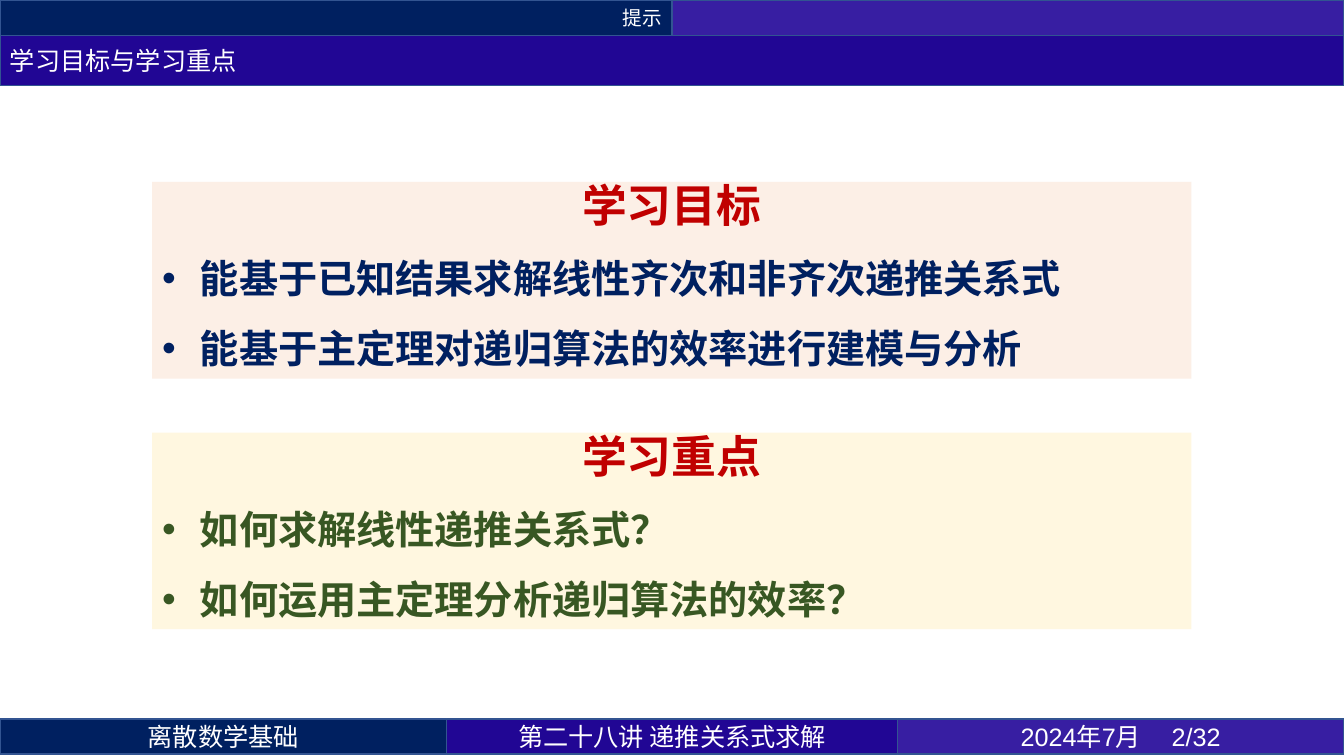
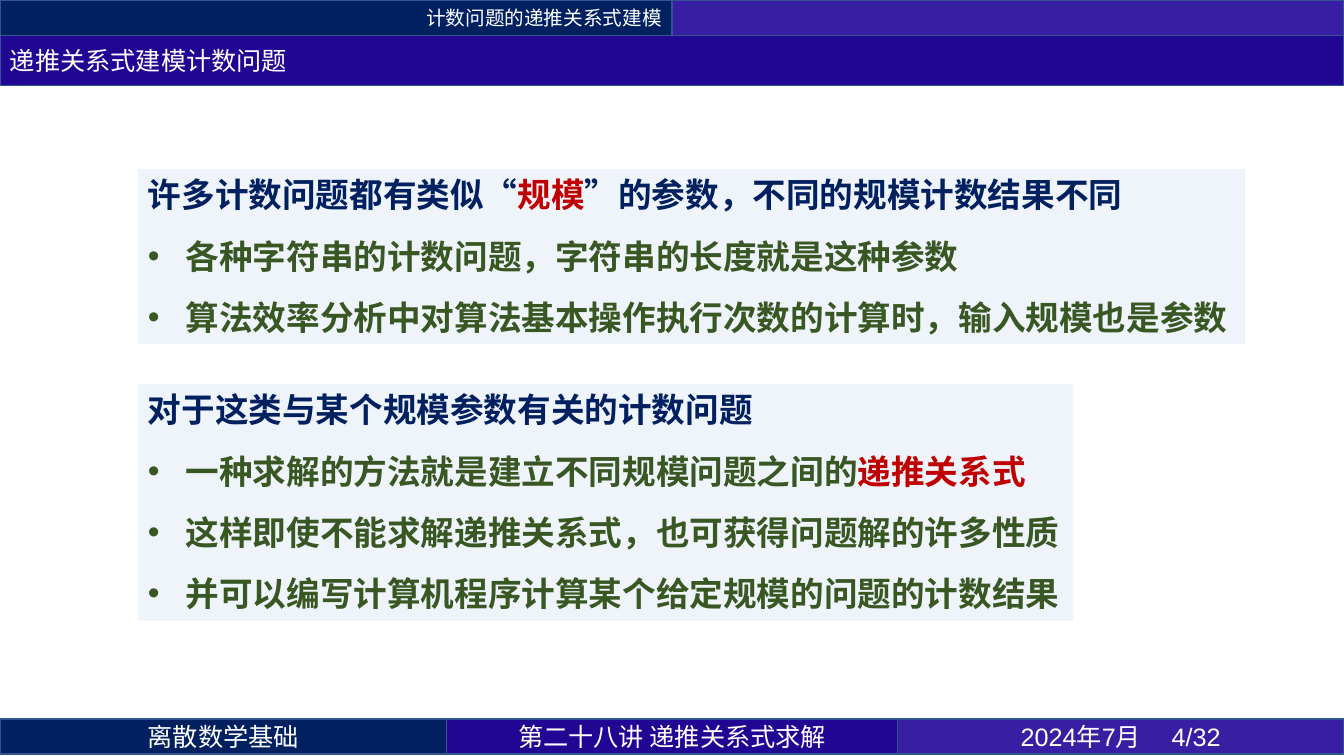
import pptx
import pptx.dml.color
import pptx.enum.lang
import pptx.enum.shapes
import pptx.enum.text
import pptx.util
from lxml import etree
from pptx.oxml.ns import qn

Pt = pptx.util.Pt
ALIGN = pptx.enum.text.PP_ALIGN
ANCHOR = pptx.enum.text.MSO_ANCHOR

SLIDE_WIDTH, SLIDE_HEIGHT = 960, 540
NAVY, INDIGO, VIOLET, BORDER = "002060", "210694", "371EA2", "325491"
WHITE, RED, GREEN = "FFFFFF", "C00000", "385723"
PEACH, CREAM, PALE_BLUE = "FBE5D6", "FFF2CC", "DEEBF7"
CHINESE_FONT, LATIN_FONT = "Noto Sans CJK SC", "Arial"

BAND_HEIGHT, TITLE_HEIGHT = 25.2, 36
FOOTER_TOP = 513.5
FOOTER_SIDE = 319
BULLET_INDENT = 27
PAGE_COUNT = 32


def rgb(color):
    return pptx.dml.color.RGBColor.from_string(color)


def add_box(slide, box, fill, line=None, opacity=100):
    """Add a rectangle; box is left, top, width, height in points."""
    shape = slide.shapes.add_shape(
        pptx.enum.shapes.MSO_SHAPE.RECTANGLE, *(Pt(length) for length in box))
    shape.shadow.inherit = False
    shape.fill.solid()
    shape.fill.fore_color.rgb = rgb(fill)
    if opacity < 100:
        color = shape.fill._xPr.find(qn("a:solidFill"))[0]
        etree.SubElement(color, qn("a:alpha"), val=str(opacity * 1000))
    if line:
        shape.line.color.rgb = rgb(line)
        shape.line.width = Pt(1)
    else:
        shape.line.fill.background()
    shape.text_frame.word_wrap = True
    return shape


def add_run(paragraph, text, size, color, font=CHINESE_FONT, bold=False):
    run = paragraph.add_run()
    run.text = text
    run.font.size = Pt(size)
    run.font.bold = bold
    run.font.color.rgb = rgb(color)
    run.font.name = font
    run.font.language_id = pptx.enum.lang.MSO_LANGUAGE_ID.SIMPLIFIED_CHINESE
    latin = run.font._element.find(qn("a:latin"))
    latin.addnext(etree.Element(qn("a:ea"), typeface=CHINESE_FONT))


def add_bullet(paragraph):
    properties = paragraph._p.get_or_add_pPr()
    properties.set("marL", str(Pt(BULLET_INDENT)))
    properties.set("indent", str(-Pt(BULLET_INDENT)))
    etree.SubElement(properties, qn("a:buFont"), typeface=LATIN_FONT)
    etree.SubElement(properties, qn("a:buChar"), char="•")


def add_band(slide, box, fill, text="", size=18, align=ALIGN.CENTER, font=CHINESE_FONT):
    shape = add_box(slide, box, fill, BORDER)
    shape.text_frame.vertical_anchor = ANCHOR.MIDDLE
    paragraph = shape.text_frame.paragraphs[0]
    paragraph.alignment = align
    if text:
        add_run(paragraph, text, size, WHITE, font)


def add_header(slide, section, title):
    half = SLIDE_WIDTH / 2
    add_band(slide, (0, 0, half, BAND_HEIGHT), NAVY, section, 14, ALIGN.RIGHT)
    add_band(slide, (half, 0, half, BAND_HEIGHT), VIOLET)
    add_band(slide, (0, BAND_HEIGHT, SLIDE_WIDTH, TITLE_HEIGHT), INDIGO, title,
             align=ALIGN.LEFT)


def add_footer(slide, page):
    middle = SLIDE_WIDTH - 2 * FOOTER_SIDE
    left = 0
    for width, fill, text, font in (
            (FOOTER_SIDE, NAVY, "离散数学基础", CHINESE_FONT),
            (middle, INDIGO, "第二十八讲 递推关系式求解", CHINESE_FONT),
            (FOOTER_SIDE, VIOLET, f"2024年7月\t{page}/{PAGE_COUNT}", LATIN_FONT)):
        add_band(slide, (left, FOOTER_TOP, width, BAND_HEIGHT), fill, text, font=font)
        left += width


def add_panel(slide, box, fill, opacity, heading, bullets, spacing):
    """Fill a tinted panel with a heading and bullets.

    heading is (runs, size, alignment), bullets is (items, size, font); each
    item is a list of (text, color) runs. spacing is line, before, after.
    """
    frame = add_box(slide, box, fill, opacity=opacity).text_frame
    frame.vertical_anchor = ANCHOR.TOP
    heading_runs, heading_size, heading_align = heading
    items, bullet_size, bullet_font = bullets
    line, before, after = spacing
    for index, runs in enumerate([heading_runs, *items]):
        paragraph = frame.add_paragraph() if index else frame.paragraphs[0]
        paragraph.alignment = ALIGN.LEFT if index else heading_align
        paragraph.line_spacing = Pt(line)
        paragraph.space_before = Pt(before if index else 0)
        paragraph.space_after = Pt(after)
        if index:
            add_bullet(paragraph)
        size, font = (bullet_size, bullet_font) if index else (heading_size, CHINESE_FONT)
        for text, color in runs:
            add_run(paragraph, text, size, color, font, bold=True)


def add_goal_panel(slide, top, fill, heading, color, bullets):
    add_panel(slide, (108.7, top, 742.3, 140.4), fill, 60,
              ([(heading, RED)], 32, ALIGN.CENTER),
              ([[(text, color)] for text in bullets], 28, LATIN_FONT),
              (32, 12, 6))


def add_topic_panel(slide, top, width, height, heading, bullets):
    add_panel(slide, (98.6, top, width, height), PALE_BLUE, 50,
              (heading, 24, ALIGN.LEFT), (bullets, 24, CHINESE_FONT),
              (28.8, 6, 9))


def add_lecture_slide(presentation, section, title, page):
    slide = presentation.slides.add_slide(presentation.slide_layouts[6])
    add_header(slide, section, title)
    add_footer(slide, page)
    return slide


def build_goals_slide(presentation):
    slide = add_lecture_slide(presentation, "提示", "学习目标与学习重点", 2)
    add_goal_panel(slide, 130, PEACH, "学习目标", NAVY,
                   ["能基于已知结果求解线性齐次和非齐次递推关系式",
                    "能基于主定理对递归算法的效率进行建模与分析"])
    add_goal_panel(slide, 309, CREAM, "学习重点", GREEN,
                   ["如何求解线性递推关系式？",
                    "如何运用主定理分析递归算法的效率？"])


def build_modeling_slide(presentation):
    slide = add_lecture_slide(
        presentation, "计数问题的递推关系式建模", "递推关系式建模计数问题", 4)
    add_topic_panel(
        slide, 120.8, 790.6, 124.8,
        [("许多计数问题都有类似“", NAVY), ("规模", RED),
         ("”的参数，不同的规模计数结果不同", NAVY)],
        [[("各种字符串的计数问题，字符串的长度就是这种参数", GREEN)],
         [("算法效率分析中对算法基本操作执行次数的计算时，输入规模也是参数", GREEN)]])
    add_topic_panel(
        slide, 274.4, 668.2, 169,
        [("对于这类与某个规模参数有关的计数问题", NAVY)],
        [[("一种求解的方法就是建立不同规模问题之间的", GREEN), ("递推关系式", RED)],
         [("这样即使不能求解递推关系式，也可获得问题解的许多性质", GREEN)],
         [("并可以编写计算机程序计算某个给定规模的问题的计数结果", GREEN)]])


def main():
    presentation = pptx.Presentation()
    presentation.slide_width = Pt(SLIDE_WIDTH)
    presentation.slide_height = Pt(SLIDE_HEIGHT)
    build_goals_slide(presentation)
    build_modeling_slide(presentation)
    presentation.save("out.pptx")


if __name__ == "__main__":
    main()
